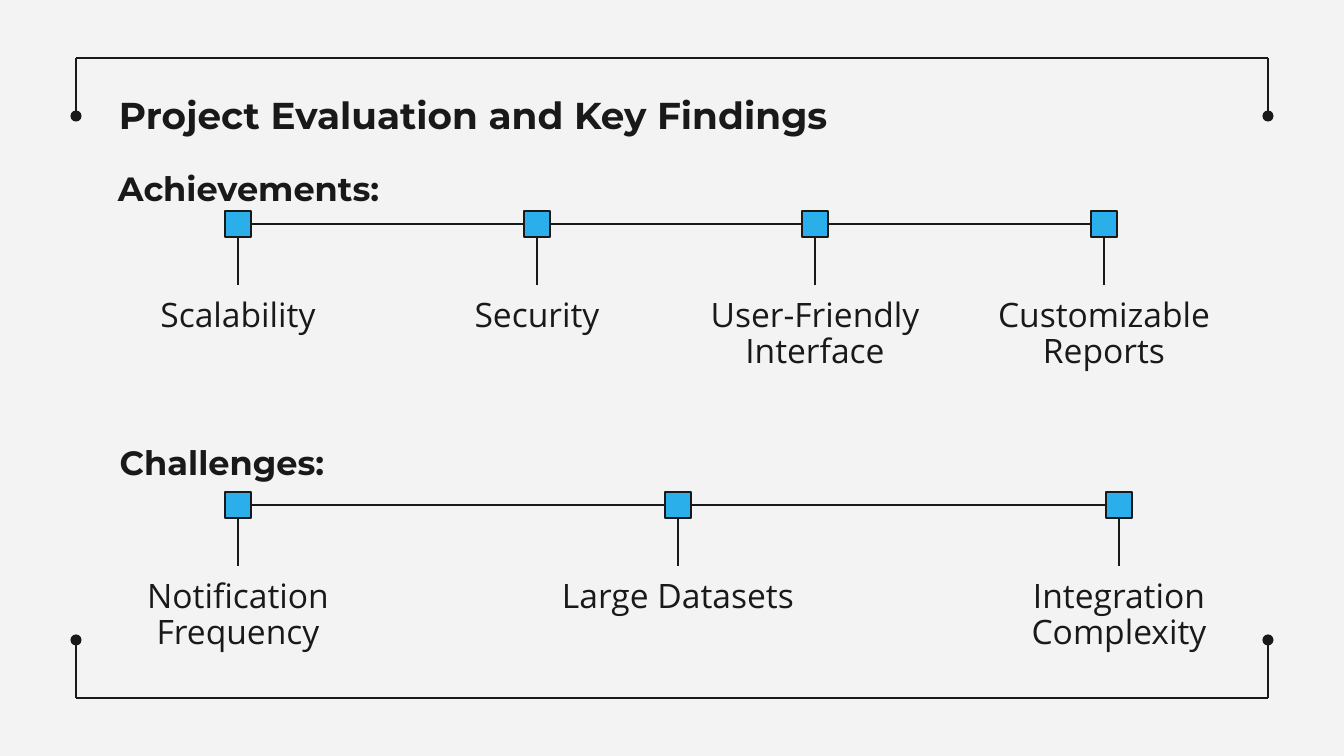
from itertools import pairwise
from lxml.etree import SubElement
from pptx import Presentation
from pptx.dml.color import RGBColor
from pptx.enum.shapes import MSO_CONNECTOR, MSO_SHAPE
from pptx.enum.text import PP_ALIGN
from pptx.oxml.ns import qn
from pptx.util import Emu, Pt

TITLE = "Project Evaluation and Key Findings"
TIMELINES = [
    {
        "heading": "Achievements:",
        "heading_box": (105, 155, 298, 48),
        "align": PP_ALIGN.LEFT,
        "middle": 224,
        "items": [
            ("Scalability", 238),
            ("Security", 537),
            ("User-Friendly Interface", 815),
            ("Customizable Reports", 1104),
        ],
    },
    {
        "heading": "Challenges:",
        "heading_box": (73, 429, 298, 48),
        "align": PP_ALIGN.CENTER,
        "middle": 505,
        "items": [
            ("Notification Frequency", 238),
            ("Large Datasets", 678),
            ("Integration Complexity", 1119),
        ],
    },
]
FRAME_LEFT, FRAME_RIGHT = 76, 1268
FRAME_SIDES = [(58, 116), (698, 640)]
MARKER, STEM_END = 26, 61
LABEL_WIDTH, LABEL_HEIGHT = 266, 55
INK, BLUE, PAPER = "191919", "2AAFEB", "F3F3F3"
TOP, LEFT, BOTTOM, RIGHT = range(4)


def px(length):
    return Emu(round(length * 914400 / 134.4))


def color(value):
    return RGBColor.from_string(value)


def add_line(start, end, dot=False):
    line = slide.shapes.add_connector(
        MSO_CONNECTOR.STRAIGHT, *map(px, start + end))
    line.line.color.rgb = color(INK)
    line.line.width = Pt(0.75)
    if dot:
        SubElement(line.line._get_or_add_ln(), qn("a:tailEnd"), type="oval")
    SubElement(line._element.spPr, qn("a:effectLst"))
    return line


def add_text(text, box, font, size, bold=False, align=PP_ALIGN.LEFT, spacing=1.0):
    frame = slide.shapes.add_textbox(*map(px, box)).text_frame
    frame.word_wrap = True
    frame.margin_left = frame.margin_right = px(13)
    frame.margin_top = frame.margin_bottom = px(13)
    frame.text = text
    paragraph = frame.paragraphs[0]
    paragraph.alignment = align
    paragraph.line_spacing = spacing
    run = paragraph.runs[0].font
    run.name, run.size, run.bold = font, Pt(size), bold
    run.color.rgb = color(INK)


def add_marker(center, middle):
    marker = slide.shapes.add_shape(
        MSO_SHAPE.RECTANGLE, px(center - MARKER / 2), px(middle - MARKER / 2),
        px(MARKER), px(MARKER))
    marker.shadow.inherit = False
    marker.fill.solid()
    marker.fill.fore_color.rgb = color(BLUE)
    marker.line.color.rgb = color(INK)
    marker.line.width = Pt(0.75)
    return marker


def add_timeline(timeline):
    middle = timeline["middle"]
    stem_end = middle + STEM_END
    markers = []
    for label, center in timeline["items"]:
        marker = add_marker(center, middle)
        markers.append(marker)
        stem = add_line((center, middle + MARKER / 2), (center, stem_end))
        stem.begin_connect(marker, BOTTOM)
        add_text(label,
                 (center - LABEL_WIDTH / 2, stem_end, LABEL_WIDTH, LABEL_HEIGHT),
                 "Open Sans", 18, align=PP_ALIGN.CENTER, spacing=0.9)
    for before, after in pairwise(markers):
        link = add_line((0, middle), (0, middle))
        link.begin_connect(before, RIGHT)
        link.end_connect(after, LEFT)
    add_text(timeline["heading"], timeline["heading_box"],
             "Montserrat", 18, bold=True, align=timeline["align"])


presentation = Presentation()
presentation.slide_width, presentation.slide_height = px(1344), px(756)
slide = presentation.slides.add_slide(presentation.slide_layouts[6])
slide.background.fill.solid()
slide.background.fill.fore_color.rgb = color(PAPER)

for edge, dot_y in FRAME_SIDES:
    add_line((FRAME_LEFT, edge), (FRAME_RIGHT, edge))
    for side in (FRAME_LEFT, FRAME_RIGHT):
        add_line((side, edge), (side, dot_y), dot=True)

add_text(TITLE, (106, 79, 1133, 85), "Montserrat", 20, bold=True)
for timeline in TIMELINES:
    add_timeline(timeline)

presentation.save("out.pptx")
